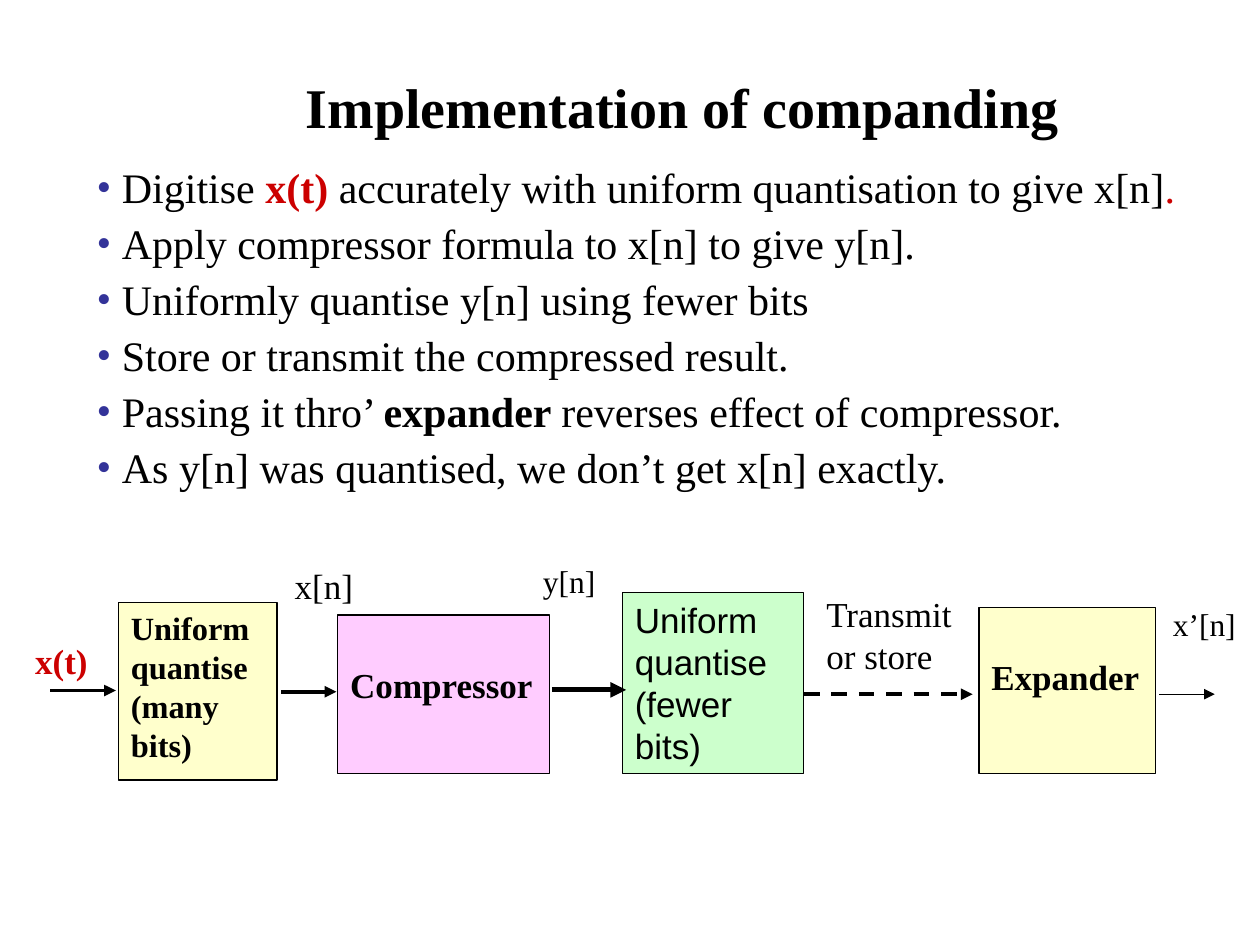
from lxml import etree
from pptx import Presentation
from pptx.dml.color import RGBColor
from pptx.enum.dml import MSO_LINE
from pptx.enum.shapes import MSO_CONNECTOR, MSO_SHAPE
from pptx.enum.text import MSO_ANCHOR, PP_ALIGN
from pptx.oxml.ns import qn
from pptx.util import Pt

RECT, STRAIGHT = MSO_SHAPE.RECTANGLE, MSO_CONNECTOR.STRAIGHT
DASH = MSO_LINE.DASH
TOP, MIDDLE = MSO_ANCHOR.TOP, MSO_ANCHOR.MIDDLE
LEFT, CENTER = PP_ALIGN.LEFT, PP_ALIGN.CENTER
SERIF, SANS = "Times New Roman", "Arial"
COLORS = {"black": "000000", "red": "CC0000", "bullet": "333399",
          "yellow": "FFFFCC", "pink": "FFCCFF", "green": "CCFFCC"}

BULLETS = [
    [("Digitise ", "black", False), ("x(t)", "red", True),
     (" accurately with uniform quantisation to give x[n]", "black", False),
     (".", "red", False)],
    [("Apply compressor formula to x[n] to give y[n].", "black", False)],
    [("Uniformly quantise y[n] using fewer bits", "black", False)],
    [("Store or transmit the compressed result.", "black", False)],
    [("Passing it thro’ ", "black", False), ("expander ", "black", True),
     ("reverses effect of compressor.", "black", False)],
    [("As y[n] was quantised, we don’t get x[n] exactly.", "black", False)],
]
BLOCKS = [
    ((54.7, 27.2, 90.7, 101.5), "Uniform\vquantise\n(many bits)", "yellow", 18.5, SERIF, True, 3.6),
    ((180, 34.4, 121, 90.7), "Compressor", "pink", 20, SERIF, True, 27.6),
    ((546.4, 30, 100.8, 95), "Expander", "yellow", 20, SERIF, True, 27.6),
    ((342.7, 21.4, 103.7, 103.7), "Uniform quantise (fewer bits)", "green", 20, SANS, False, 3.6),
]
ARROWS = [
    (15.8, 53.2, 77.6, 2.25, None),
    (147.6, 179.2, 78.3, 2.25, None),
    (302.4, 344.8, 77.2, 3, None),
    (446.4, 542.8, 79.7, 2.25, DASH),
    (649.4, 681.1, 79.7, 0.75, None),
]
LABELS = [
    ((0, 45, 55, 45), "x(t)", "red", 20, True),
    ((148.3, 2, 51, 34), "x[n]", "black", 20, False),
    ((290.1, 0.5, 57, 29), "y[n]", "black", 18, False),
    ((452.1, 17.8, 109, 68), "Transmit\vor store", "black", 20, False),
    ((650.1, 25, 57, 29), "x’[n]", "black", 18, False),
]


def rgb(name):
    """Return the named colour."""
    return RGBColor.from_string(COLORS[name])


def style(font, size, color, bold=False, name=SERIF):
    """Format one font."""
    font.size, font.bold, font.name = Pt(size), bold, name
    font.color.rgb = rgb(color)


def fill_text(sp, text, size, color="black", bold=False, name=SERIF,
              align=LEFT, anchor=TOP, top=3.6):
    """Put wrapped text with one format into a shape."""
    tf = sp.text_frame
    tf.text, tf.word_wrap, tf.vertical_anchor = text, True, anchor
    tf.margin_left = tf.margin_right = Pt(7.2)
    tf.margin_top, tf.margin_bottom = Pt(top), Pt(3.6)
    for p in tf.paragraphs:
        p.alignment = align
        for r in p.runs:
            style(r.font, size, color, bold, name)


def add_title(s, x, y, w, h):
    """Add the slide title."""
    sp = s.shapes.add_textbox(Pt(x), Pt(y), Pt(w), Pt(h))
    fill_text(sp, "Implementation of companding", 32, bold=True,
              align=CENTER, anchor=MIDDLE)


def add_bullets(s, x, y, w, h):
    """Add the bulleted list."""
    tf = s.shapes.add_textbox(Pt(x), Pt(y), Pt(w), Pt(h)).text_frame
    tf.word_wrap = True
    for i, runs in enumerate(BULLETS):
        p = tf.add_paragraph() if i else tf.paragraphs[0]
        p.line_spacing, p.space_before = 0.9, Pt(6 if i else 0)
        pPr = p._p.get_or_add_pPr()
        pPr.set("marL", str(Pt(14.4)))
        pPr.set("indent", str(-Pt(14.4)))
        clr = etree.SubElement(pPr, qn("a:buClr"))
        etree.SubElement(clr, qn("a:srgbClr"), val=COLORS["bullet"])
        etree.SubElement(pPr, qn("a:buFont"), typeface=SERIF)
        etree.SubElement(pPr, qn("a:buChar"), char="•")
        for text, color, bold in runs:
            r = p.add_run()
            r.text = text
            style(r.font, 24, color, bold)


def add_arrow(s, x1, x2, y, width, dash):
    """Add a horizontal arrow pointing right."""
    line = s.shapes.add_connector(STRAIGHT, Pt(x1), Pt(y), Pt(x2), Pt(y))
    line.line.color.rgb, line.line.width = rgb("black"), Pt(width)
    if dash:
        line.line.dash_style = dash
    etree.SubElement(line.line._get_or_add_ln(), qn("a:tailEnd"), type="triangle")
    etree.SubElement(line._element.spPr, qn("a:effectLst"))


def add_diagram(s, x, y):
    """Add the companding chain of blocks, arrows and signal labels."""
    for (dx, dy, w, h), text, fill, size, name, bold, top in BLOCKS:
        sp = s.shapes.add_shape(RECT, Pt(x + dx), Pt(y + dy), Pt(w), Pt(h))
        sp.shadow.inherit = False
        sp.fill.solid()
        sp.fill.fore_color.rgb = rgb(fill)
        sp.line.color.rgb, sp.line.width = rgb("black"), Pt(0.75)
        fill_text(sp, text, size, bold=bold, name=name, top=top)
    for x1, x2, dy, width, dash in ARROWS:
        add_arrow(s, x + x1, x + x2, y + dy, width, dash)
    for (dx, dy, w, h), text, color, size, bold in LABELS:
        sp = s.shapes.add_textbox(Pt(x + dx), Pt(y + dy), Pt(w), Pt(h))
        fill_text(sp, text, size, color, bold)


def main():
    """Build and save the slide."""
    prs = Presentation()
    prs.slide_width, prs.slide_height = Pt(720), Pt(540)
    s = prs.slides.add_slide(prs.slide_layouts[6])
    add_title(s, 84.2, 15.8, 612, 90)
    add_bullets(s, 48.2, 92.2, 671.8, 202.3)
    add_diagram(s, 13, 317)
    prs.save("out.pptx")


if __name__ == "__main__":
    main()
